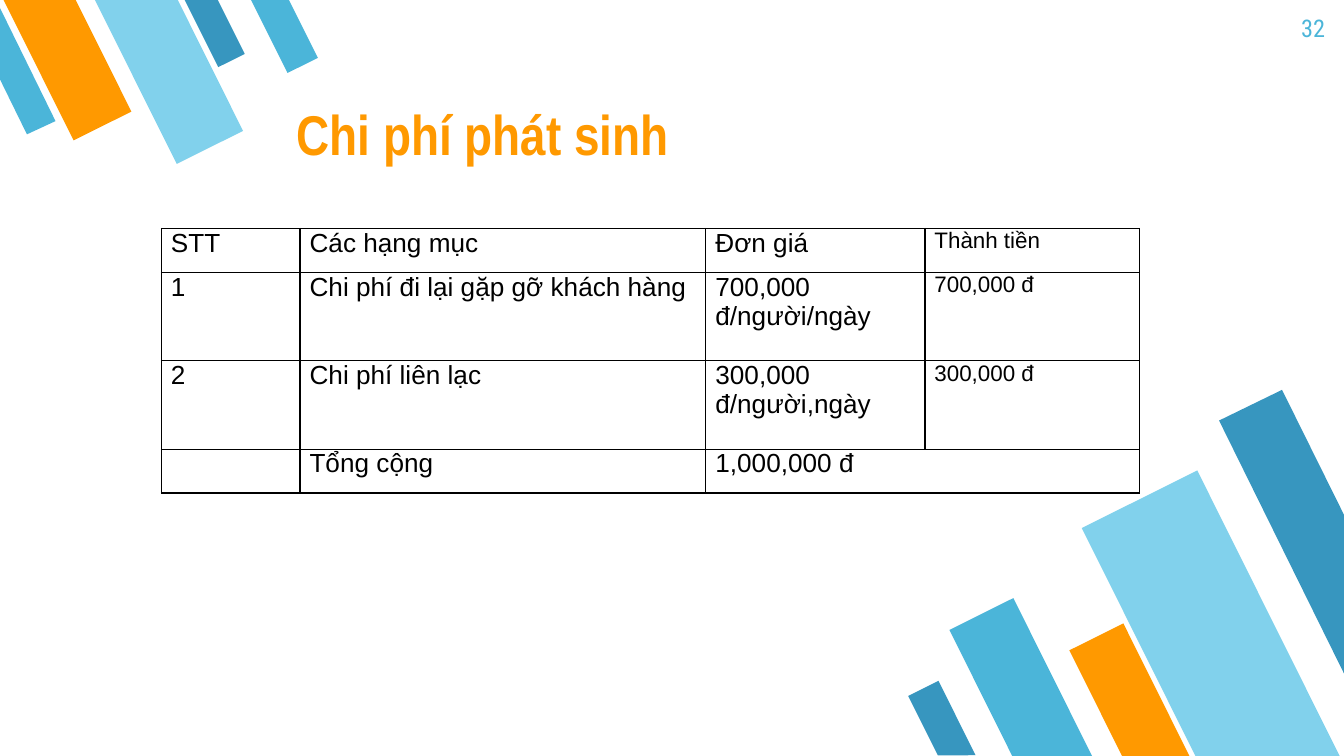
import dataclasses

import lxml.etree
import pptx
import pptx.dml.color
import pptx.enum.shapes
import pptx.enum.text
import pptx.oxml.ns
import pptx.util

Cm = pptx.util.Cm
Pt = pptx.util.Pt
ALIGN = pptx.enum.text.PP_ALIGN
ANCHOR = pptx.enum.text.MSO_ANCHOR

COLOURS = {
    "sky": "4BB5D9",
    "pale": "81D1EC",
    "orange": "FF9900",
    "deep": "3796BF",
    "black": "000000",
}
LOWER_ANGLE = 153.5
UPPER_ANGLE = LOWER_ANGLE + 180


@dataclasses.dataclass
class Bar:
    """A slanted bar; lengths in cm, before rotation."""
    left: float
    top: float
    width: float
    height: float
    angle: float
    colour: str


@dataclasses.dataclass
class CutBar:
    """A bar cut off by the slide edge; corners in cm."""
    corners: list[tuple[float, float]]
    colour: str


@dataclasses.dataclass
class Label:
    text: str
    left: float
    top: float
    width: float
    height: float
    size: float
    font: str
    colour: str
    bold: bool = False
    align: ALIGN = ALIGN.LEFT
    anchor: ANCHOR = ANCHOR.TOP


BARS = [
    # Lower right
    Bar(18.62, 11.43, 1.35, 3.35, LOWER_ANGLE, "sky"),
    Bar(21.67, 9.12, 2.44, 6.07, LOWER_ANGLE, "pale"),
    Bar(20.78, 11.89, 1.14, 2.82, LOWER_ANGLE, "orange"),
    Bar(17.48, 12.93, 0.64, 1.57, LOWER_ANGLE, "deep"),
    # Upper left
    Bar(3.78, -0.2, 0.56, 1.42, UPPER_ANGLE, "deep"),
    Bar(0.66, -0.46, 1.22, 3, UPPER_ANGLE, "orange"),
    Bar(2.49, -0.51, 1.4, 3.48, UPPER_ANGLE, "pale"),
    Bar(5.05, -0.25, 0.64, 1.57, UPPER_ANGLE, "sky"),
]
CUT_BARS = [
    CutBar([(24.23, 7.37), (23.04, 7.95), (25.4, 12.73), (25.4, 9.73)], "deep"),
    CutBar([(0.51, 2.54), (1.05, 2.29), (0, 0.15), (0, 1.5)], "sky"),
]
LABELS = [
    Label("32", 23.77, 0, 1.52, 1.09, 13, "Roboto Condensed", "sky",
          align=ALIGN.RIGHT),
    Label("Chi phí phát sinh", 5.36, 1.45, 14.71, 1.96, 30, "Arial Narrow",
          "orange", bold=True, anchor=ANCHOR.BOTTOM),
]
COLUMN_WIDTHS = [2.62, 7.67, 4.14, 4.06]
ROW_HEIGHTS = [0.83, 1.67, 1.67, 0.83]
COSTS = [
    ["STT", "Các hạng mục", "Đơn giá", "Thành tiền"],
    ["1", "Chi phí đi lại gặp gỡ khách hàng", "700,000 đ/người/ngày", "700,000 đ"],
    ["2", "Chi phí liên lạc", "300,000 đ/người,ngày", "300,000 đ"],
    ["", "Tổng cộng", "1,000,000 đ", ""],
]


def rgb(colour: str) -> pptx.dml.color.RGBColor:
    return pptx.dml.color.RGBColor.from_string(COLOURS[colour])


def paint(shape, colour: str) -> None:
    shape.shadow.inherit = False
    shape.fill.solid()
    shape.fill.fore_color.rgb = rgb(colour)
    shape.line.fill.background()


def style_font(font, name: str, size: float, colour: str, bold: bool = False) -> None:
    font.name = name
    font.size = Pt(size)
    font.bold = bold
    font.color.rgb = rgb(colour)


def draw_bar(page, bar: Bar) -> None:
    shape = page.shapes.add_shape(
        pptx.enum.shapes.MSO_SHAPE.FLOWCHART_MANUAL_INPUT,
        Cm(bar.left), Cm(bar.top), Cm(bar.width), Cm(bar.height))
    shape.rotation = bar.angle
    shape._element.spPr.xfrm.set("flipH", "1")
    paint(shape, bar.colour)


def draw_cut_bar(page, bar: CutBar) -> None:
    start, *others = [(Cm(x), Cm(y)) for x, y in bar.corners]
    builder = page.shapes.build_freeform(*start)
    builder.add_line_segments(others, close=True)
    paint(builder.convert_to_shape(), bar.colour)


def draw_label(page, label: Label) -> None:
    box = page.shapes.add_textbox(
        Cm(label.left), Cm(label.top), Cm(label.width), Cm(label.height))
    frame = box.text_frame
    frame.word_wrap = True
    frame.vertical_anchor = label.anchor
    frame.margin_left = frame.margin_right = Cm(0.25)
    frame.margin_top = frame.margin_bottom = Cm(0.25)
    frame.text = label.text
    para = frame.paragraphs[0]
    para.alignment = label.align
    style_font(para.runs[0].font, label.font, label.size, label.colour, label.bold)


def add_borders(cell) -> None:
    properties = cell._tc.get_or_add_tcPr()
    for index, side in enumerate(("lnL", "lnR", "lnT", "lnB")):
        line = lxml.etree.Element(pptx.oxml.ns.qn(f"a:{side}"), w=str(Pt(0.75)))
        fill = lxml.etree.SubElement(line, pptx.oxml.ns.qn("a:solidFill"))
        lxml.etree.SubElement(
            fill, pptx.oxml.ns.qn("a:srgbClr"), val=COLOURS["black"])
        properties.insert(index, line)


def draw_cost_table(page) -> None:
    table = page.shapes.add_table(
        len(COSTS), len(COLUMN_WIDTHS), Cm(3.05), Cm(4.32),
        Cm(sum(COLUMN_WIDTHS)), Cm(sum(ROW_HEIGHTS))).table
    table.first_row = table.horz_banding = False
    for column, width in zip(table.columns, COLUMN_WIDTHS):
        column.width = Cm(width)
    for row, height, texts in zip(table.rows, ROW_HEIGHTS, COSTS):
        row.height = Cm(height)
        for index, (cell, text) in enumerate(zip(row.cells, texts)):
            cell.margin_left = cell.margin_right = Cm(0.18)
            cell.margin_top = cell.margin_bottom = 0
            cell.fill.background()
            add_borders(cell)
            cell.text_frame.text = text
            size = 12 if index == len(texts) - 1 else 14
            para = cell.text_frame.paragraphs[0]
            for span in para.runs:
                style_font(span.font, "Arial", size, "black")
    # The total spans both price columns
    last = len(COSTS) - 1
    table.cell(last, 2).merge(table.cell(last, 3))


def main() -> None:
    deck = pptx.Presentation()
    deck.slide_width, deck.slide_height = Cm(25.4), Cm(14.29)
    page = deck.slides.add_slide(deck.slide_layouts[6])

    # Corner decoration
    for bar in BARS:
        draw_bar(page, bar)
    for cut_bar in CUT_BARS:
        draw_cut_bar(page, cut_bar)

    # Page number, title and costs
    for label in LABELS:
        draw_label(page, label)
    draw_cost_table(page)

    deck.save("out.pptx")


if __name__ == "__main__":
    main()
